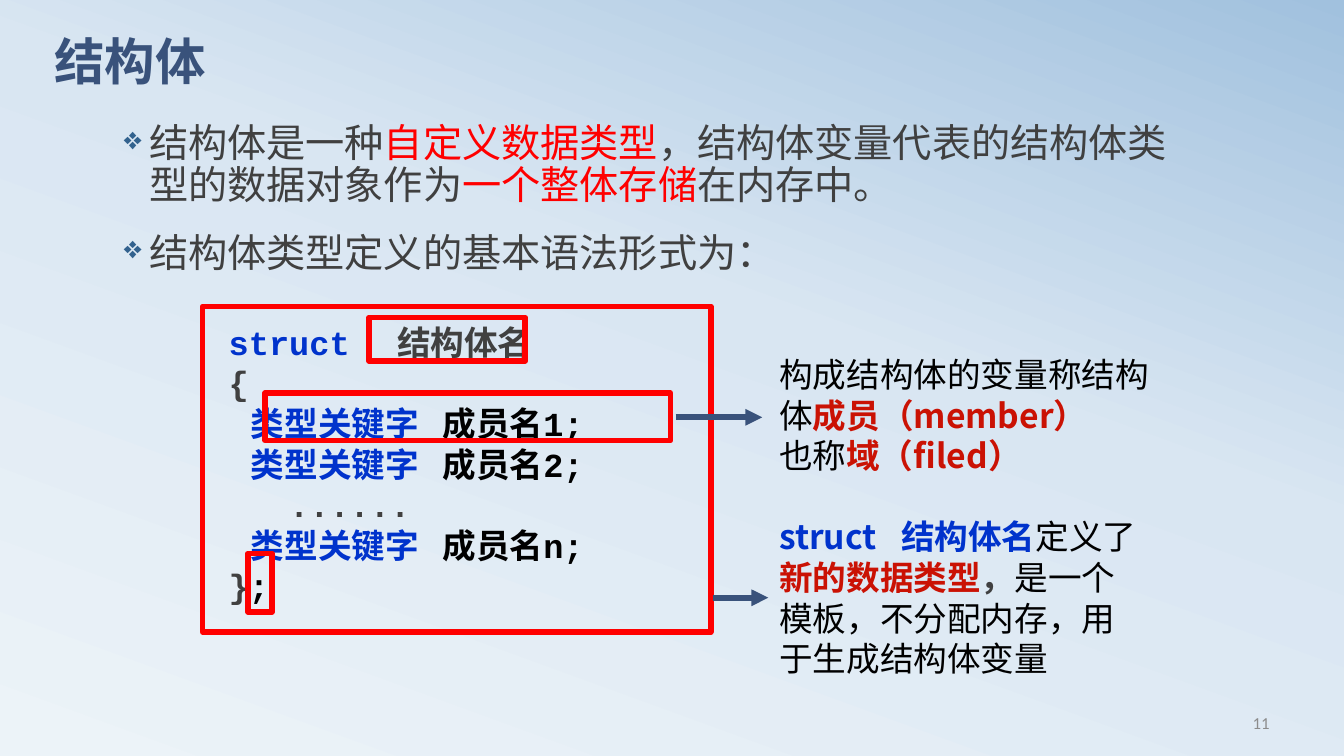
import copy

import pptx
import pptx.dml.color
import pptx.enum.shapes
import pptx.enum.text
import pptx.oxml.ns
import pptx.util
from lxml import etree
from pptx.util import Inches

SANS = "Noto Sans CJK SC"
CODE = "Courier New"
RED, CRIMSON, BLUE, NAVY = "FF0000", "CA1204", "0033CC", "39527B"
GREY, BLACK, PALE = "404040", "000000", "8C8C8C"


def color(hex_code):
    """Turn a hex string into a colour."""
    return pptx.dml.color.RGBColor.from_string(hex_code)


def add_child(parent, tag, **attributes):
    """Append a drawing element with the given attributes."""
    child = etree.SubElement(parent, pptx.oxml.ns.qn(tag))
    for name, value in attributes.items():
        child.set(name, str(value))
    return child


def paint_background(slide):
    """Give the slide its three-stop blue gradient."""
    fill = slide.background.fill
    fill.gradient()
    fill.gradient_angle = 70
    stop_list = slide.element.find(".//" + pptx.oxml.ns.qn("a:gsLst"))
    stop_list.append(copy.deepcopy(stop_list[-1]))
    shades = [(0, "ECF3F8"), (0.58, "D9E6F2"), (1, "A1C1DE")]
    for stop, (position, shade) in zip(fill.gradient_stops, shades):
        stop.position = position
        stop.color.rgb = color(shade)


def add_run(paragraph, text, shade, size, font=SANS, bold=False):
    """Add one formatted run to a paragraph."""
    run = paragraph.add_run()
    run.text = text
    run.font.name = font
    run.font.size = pptx.util.Pt(size)
    run.font.bold = bold
    run.font.color.rgb = color(shade)
    add_child(run.font._element, "a:ea", typeface=SANS)


def add_text(slide, box, paragraphs, size, font=SANS, leading=29):
    """Add a wrapping text box; each paragraph is a list of (text, colour, bold)."""
    frame = slide.shapes.add_textbox(*map(Inches, box)).text_frame
    frame.word_wrap = True
    for index, runs in enumerate(paragraphs):
        paragraph = frame.paragraphs[0] if index == 0 else frame.add_paragraph()
        paragraph.line_spacing = pptx.util.Pt(leading)
        for text, shade, bold in runs:
            add_run(paragraph, text, shade, size, font, bold)
    return frame


def set_bullet(paragraph):
    """Give a paragraph a hanging diamond bullet."""
    paragraph.space_before = pptx.util.Pt(18)
    properties = paragraph._p.get_or_add_pPr()
    properties.set("marL", str(Inches(0.25)))
    properties.set("indent", str(-Inches(0.25)))
    bullet_color = add_child(properties, "a:buClr")
    add_child(bullet_color, "a:srgbClr", val="32628E")
    add_child(properties, "a:buSzPct", val=80000)
    add_child(properties, "a:buChar", char="❖")


def set_tabs(paragraph, *stops):
    """Set left tab stops, in inches, on a paragraph."""
    tab_list = add_child(paragraph._p.get_or_add_pPr(), "a:tabLst")
    for stop in stops:
        add_child(tab_list, "a:tab", pos=Inches(stop), algn="l")


def add_frame(slide, box):
    """Add an unfilled red rectangle."""
    frame = slide.shapes.add_shape(
        pptx.enum.shapes.MSO_SHAPE.RECTANGLE, *map(Inches, box))
    frame.shadow.inherit = False
    frame.fill.background()
    frame.line.color.rgb = color(RED)
    frame.line.width = pptx.util.Pt(4)


def add_arrow(slide, left, right, y):
    """Add a horizontal arrow pointing right."""
    arrow = slide.shapes.add_connector(
        pptx.enum.shapes.MSO_CONNECTOR.STRAIGHT,
        Inches(left), Inches(y), Inches(right), Inches(y))
    arrow.line.color.rgb = color(NAVY)
    arrow.line.width = pptx.util.Pt(4)
    add_child(arrow.line._get_or_add_ln(), "a:tailEnd", type="triangle")
    add_child(arrow._element.spPr, "a:effectLst")


def add_title(slide, text):
    """Place and fill the title placeholder."""
    title = slide.shapes.title
    title.left, title.top, title.width, title.height = map(
        Inches, (0.44, 0.36, 12, 0.94))
    title.text_frame.vertical_anchor = pptx.enum.text.MSO_ANCHOR.TOP
    paragraph = title.text_frame.paragraphs[0]
    paragraph.alignment = pptx.enum.text.PP_ALIGN.LEFT
    paragraph.line_spacing = 0.8
    add_run(paragraph, text, NAVY, 36, "Calibri", True)


def add_struct_code(slide):
    """Write the struct syntax with tab-aligned members."""
    def member(suffix):
        return [("\t类型关键字\t", BLUE, True), (f"成员名{suffix};", BLACK, True)]

    lines = [
        [("struct\t", BLUE, True), ("结构体名", GREY, True)],
        [("{", GREY, True)],
        member("1"),
        member("2"),
        [("\t......", GREY, True)],
        member("n"),
        [("}", GREY, True), (";", BLACK, True)],
    ]
    code = add_text(slide, (2.17, 3.14, 4.52, 2.93), lines, 24, CODE)
    member_stops = (0.22, 2.12)
    stops = [(1.67,), (), member_stops, member_stops, (0.6,), member_stops, ()]
    for paragraph, line_stops in zip(code.paragraphs, stops):
        if line_stops:
            set_tabs(paragraph, *line_stops)


def main():
    """Build the slide and save it."""
    deck = pptx.Presentation()
    deck.slide_width, deck.slide_height = Inches(13.33), Inches(7.5)
    slide = deck.slides.add_slide(deck.slide_layouts.get_by_name("Title Only"))
    paint_background(slide)
    add_title(slide, "结构体")

    intro = add_text(slide, (1.13, 1.18, 10.89, 1.86), [
        [("结构体是一种", GREY, False), ("自定义数据类型", RED, False),
         ("，结构体变量代表的结构体类型的数据对象作为", GREY, False),
         ("一个整体存储", RED, False), ("在内存中。", GREY, False)],
        [("结构体类型定义的基本语法形式为：", GREY, False)],
    ], 28, leading=30)
    for paragraph in intro.paragraphs:
        set_bullet(paragraph)

    add_struct_code(slide)
    for box in [(2.01, 3.04, 5.04, 3.23), (2.63, 3.9, 4.02, 0.47),
                (2.46, 5.49, 0.24, 0.58), (3.66, 3.15, 1.55, 0.43)]:
        add_frame(slide, box)

    add_arrow(slide, 6.7, 7.56, 4.14)
    add_text(slide, (7.63, 3.46, 4.07, 1.31), [
        [("构成结构体的变量称结构体", BLACK, False),
         ("成员（member）", CRIMSON, True)],
        [("也称", BLACK, False), ("域（filed）", CRIMSON, True)],
    ], 24)

    add_arrow(slide, 7.07, 7.62, 5.93)
    template_note = add_text(slide, (7.63, 5.07, 3.84, 1.72), [
        [("struct\t结构体名", BLUE, True), ("定义了", BLACK, False),
         ("新的数据类型", CRIMSON, True), ("，", GREY, True),
         ("是一个模板，不分配内存，用于生成结构体变量", BLACK, False)],
    ], 24)
    set_tabs(template_note.paragraphs[0], 1.21)

    number = add_text(slide, (9.58, 6.97, 3.11, 0.4),
                      [[("11", PALE, False)]], 12, "Calibri", 15)
    number.vertical_anchor = pptx.enum.text.MSO_ANCHOR.MIDDLE
    number.paragraphs[0].alignment = pptx.enum.text.PP_ALIGN.RIGHT


    deck.save("out.pptx")


if __name__ == "__main__":
    main()
